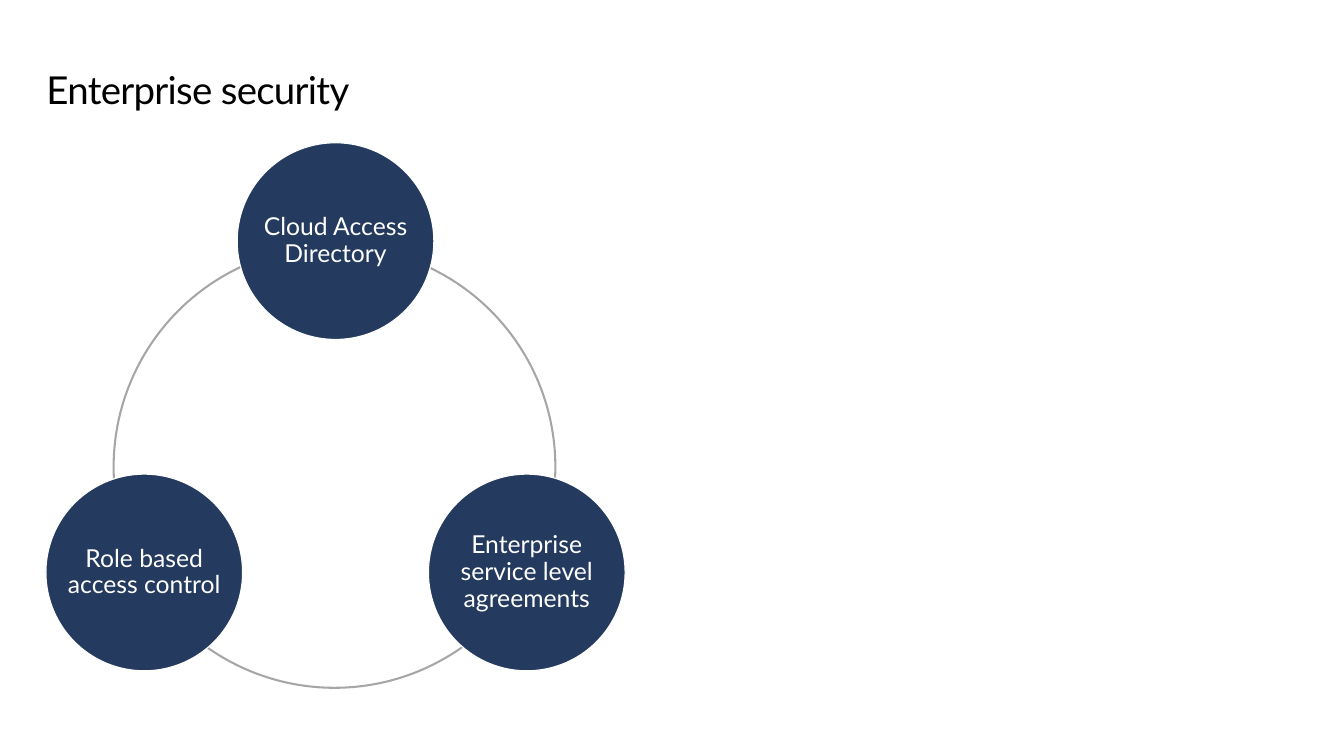
from math import cos, radians, sin

from pptx import Presentation
from pptx.dml.color import RGBColor
from pptx.enum.shapes import MSO_SHAPE
from pptx.enum.text import MSO_ANCHOR, MSO_AUTO_SIZE, PP_ALIGN
from pptx.util import Pt

PX = 9144
FONT = "Lato"
NODE_SIZE = 199
LABELS = [
    "Cloud Access\vDirectory",
    "Enterprise\vservice level\vagreements",
    "Role based\vaccess control",
]


def px(n):
    """Turn px into EMU."""
    return round(n * PX)


def color(value):
    """Turn a hex string into a colour."""
    return RGBColor.from_string(value)


def set_font(p, size, value):
    """Format every run of a paragraph."""
    for r in p.runs:
        r.font.name = FONT
        r.font.size = Pt(size)
        r.font.color.rgb = color(value)


def zero_margins(tf):
    """Remove the insets of a text frame."""
    tf.margin_left = tf.margin_right = tf.margin_top = tf.margin_bottom = 0


def add_title(s, x, y, w, h, text):
    """Place and format the slide title."""
    sp = s.shapes.title
    sp.left, sp.top, sp.width, sp.height = px(x), px(y), px(w), px(h)
    tf = sp.text_frame
    tf.text = text
    tf.auto_size = MSO_AUTO_SIZE.SHAPE_TO_FIT_TEXT
    tf.vertical_anchor = MSO_ANCHOR.TOP
    zero_margins(tf)
    p = tf.paragraphs[0]
    p.alignment = PP_ALIGN.LEFT
    p.line_spacing = Pt(32)
    p.space_before = Pt(0)
    set_font(p, 28, "000000")
    p.runs[0].font._element.set("spc", "-50")


def add_circle(s, x, y, size, line, width):
    """Draw an outlined circle in a square box."""
    sp = s.shapes.add_shape(MSO_SHAPE.OVAL, px(x), px(y), px(size), px(size))
    sp.shadow.inherit = False
    sp.line.color.rgb = color(line)
    sp.line.width = Pt(width)
    return sp


def add_node(s, cx, cy, label):
    """Draw a labelled disc around its centre."""
    half = NODE_SIZE / 2
    sp = add_circle(s, cx - half, cy - half, NODE_SIZE, "FFFFFF", 0.85)
    sp.fill.solid()
    sp.fill.fore_color.rgb = color("243A5E")
    tf = sp.text_frame
    tf.text = label
    tf.word_wrap = False
    tf.vertical_anchor = MSO_ANCHOR.MIDDLE
    zero_margins(tf)
    p = tf.paragraphs[0]
    p.alignment = PP_ALIGN.CENTER
    p.line_spacing = 0.9
    set_font(p, 18, "FFFFFF")


def add_cycle(s, x, y, size, labels):
    """Draw a ring with discs spaced evenly clockwise from the top."""
    add_circle(s, x, y, size, "A6A6A6", 1.5).fill.background()
    r = size / 2
    cx, cy = x + r + 1, y + r - 5
    for i, label in enumerate(labels):
        a = radians(360 * i / len(labels) - 90)
        add_node(s, cx + r * cos(a), cy + r * sin(a), label)


def main():
    """Build and save the slide."""
    prs = Presentation()
    prs.slide_width, prs.slide_height = px(1360), px(765)
    s = prs.slides.add_slide(prs.slide_layouts[5])
    add_title(s, 47, 69, 1265, 45, "Enterprise security")
    add_cycle(s, 115, 249, 447, LABELS)
    prs.save("out.pptx")


if __name__ == "__main__":
    main()
